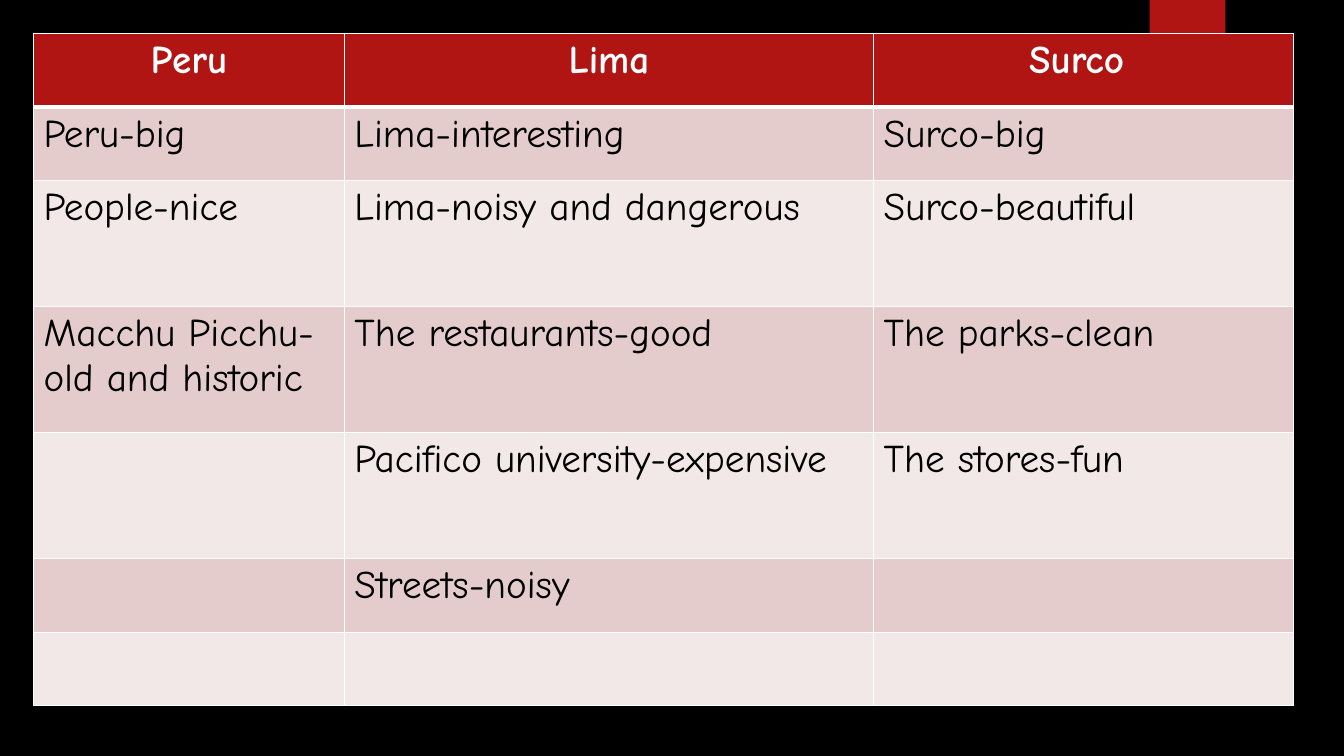
from dataclasses import dataclass

from lxml.etree import SubElement
from pptx import Presentation
from pptx.dml.color import RGBColor as RGB
from pptx.enum.shapes import MSO_SHAPE as SHAPE
from pptx.enum.text import PP_ALIGN as ALIGN
from pptx.oxml.ns import qn
from pptx.util import Pt

PX = 9525  # EMU in one px, 96 px to the inch


@dataclass(frozen=True)
class Theme:
    back: str = "000000"
    red: str = "B01513"
    rose: str = "E4CCCC"
    pale: str = "F2E8E7"
    white: str = "FFFFFF"
    ink: str = "000000"
    font: str = "Comic Neue"
    size: int = 28
    thin: int = 1
    thick: int = 3


THEME = Theme()

COLS = [296, 504, 400]
LOW, TALL = 70, 120
ROWS = [
    (LOW, ["Peru", "Lima", "Surco "]),
    (LOW, ["Peru-big", "Lima-interesting", "Surco-big"]),
    (TALL, ["People-nice", "Lima-noisy and dangerous", "Surco-beautiful"]),
    (TALL, ["Macchu Picchu-old and historic", "The restaurants-good",
            "The parks-clean"]),
    (TALL, ["", "Pacifico university-expensive", "The stores-fun"]),
    (LOW, ["", "Streets-noisy", ""]),
    (LOW, ["", "", ""]),
]


def paint(fill, color):
    fill.solid()
    fill.fore_color.rgb = RGB.from_string(color)


def edge(cell, side, width):
    props = cell._tc.get_or_add_tcPr()
    line = SubElement(props, qn(f"a:ln{side}"), w=str(Pt(width)))
    fill = SubElement(line, qn("a:solidFill"))
    SubElement(fill, qn("a:srgbClr"), val=THEME.white)


def write(cell, text, head):
    cell.text = text
    para = cell.text_frame.paragraphs[0]
    para.alignment = ALIGN.CENTER if head else ALIGN.LEFT
    font = para.font
    font.size = Pt(THEME.size)
    for run in para.runs:
        font = run.font
        font.name, font.size, font.bold = THEME.font, Pt(THEME.size), head
        font.color.rgb = RGB.from_string(THEME.white if head else THEME.ink)


def add_tag(slide, box):
    tag = slide.shapes.add_shape(SHAPE.RECTANGLE, *[n * PX for n in box])
    tag.shadow.inherit = False
    paint(tag.fill, THEME.red)
    tag.line.fill.background()


def add_grid(slide, box):
    grid = slide.shapes.add_table(
        len(ROWS), len(COLS), *[n * PX for n in box]).table
    for col, width in zip(grid.columns, COLS):
        col.width = width * PX
    for i, (height, texts) in enumerate(ROWS):
        grid.rows[i].height = height * PX
        head = i == 0
        color = THEME.red if head else THEME.rose if i % 2 else THEME.pale
        for j, text in enumerate(texts):
            cell = grid.cell(i, j)
            write(cell, text, head)
            # The rule under the header is heavier than the others
            for side in "LRTB":
                heavy = (i, side) in ((0, "B"), (1, "T"))
                edge(cell, side, THEME.thick if heavy else THEME.thin)
            paint(cell.fill, color)


def main():
    deck = Presentation()
    deck.slide_width, deck.slide_height = 1280 * PX, 720 * PX
    slide = deck.slides.add_slide(deck.slide_layouts[6])
    paint(slide.background.fill, THEME.back)

    # Red tag hanging from the top edge, behind the table
    add_tag(slide, (1095, 0, 72, 120))

    # Table of places and how they are described
    add_grid(slide, (32, 32, sum(COLS), sum(height for height, _ in ROWS)))

    deck.save("out.pptx")


if __name__ == "__main__":
    main()
